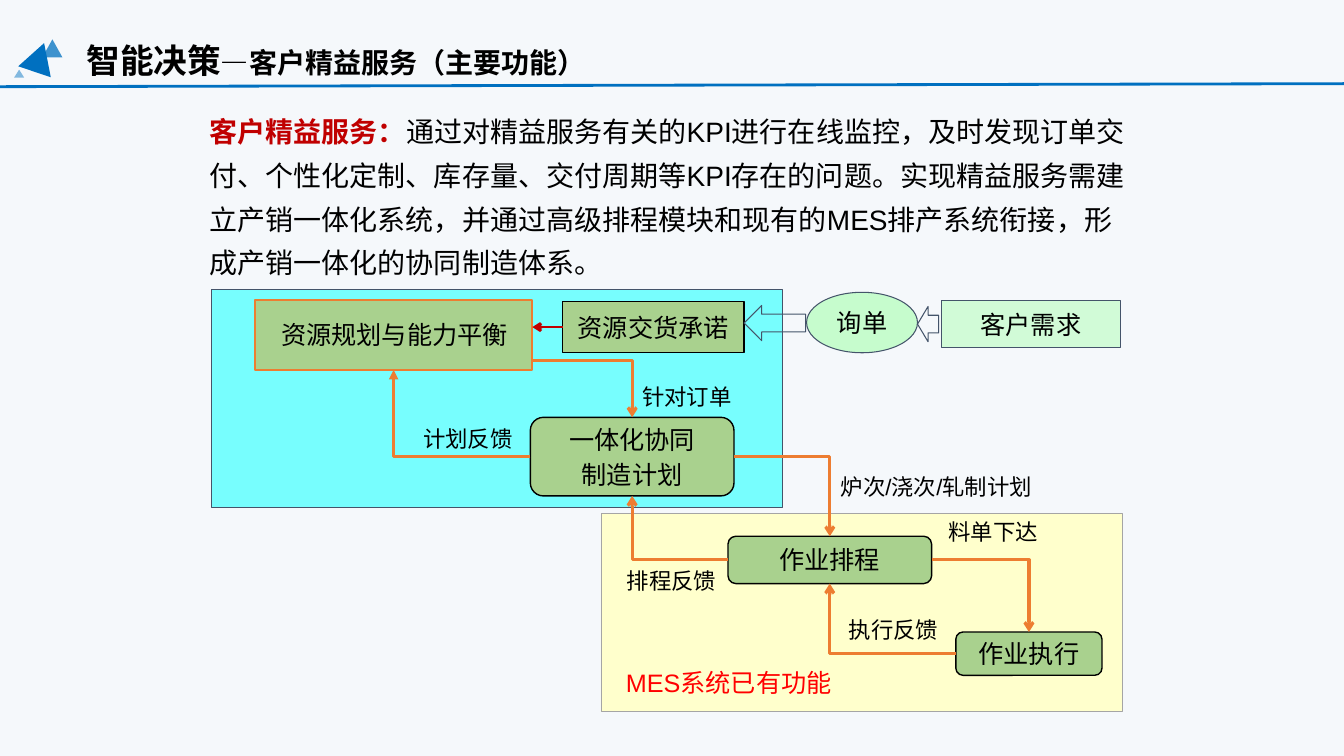
from lxml import etree
from pptx import Presentation
from pptx import util as u
from pptx.dml.color import RGBColor
from pptx.enum import shapes, text
from pptx.oxml import ns

THEME = {
    "paper": "F5F8FB", "ink": "000000", "blue": "0070C0", "slate": "44546A",
    "cyan": "66FFFF", "cream": "FFFFCC", "grey": "A5A5A5", "green": "A9D18E",
    "mint": "B4FEBB", "orange": "ED7D31", "crimson": "C00000", "red": "FF0000",
    "latin": "Arial", "round": "Calibri", "cjk": "Noto Sans CJK SC",
    "title": 24, "lead": 20, "body": 18, "label": 16,
}
CELL = u.Inches(0.1)  # the slide is a grid of 133.3 columns by 75 rows
KIND = shapes.MSO_SHAPE

prs = Presentation()
prs.slide_width, prs.slide_height = int(133.3 * CELL), 75 * CELL
slide = prs.slides.add_slide(prs.slide_layouts[6])
slide.background.fill.solid()
slide.background.fill.fore_color.rgb = RGBColor.from_string(THEME["paper"])


def draw(kind, place, fill=None, line=None, weight=0.75, alpha=100):
    """Add a preset shape; place is left, top, width, height in grid cells."""
    shape = slide.shapes.add_shape(kind, *(int(n * CELL) for n in place))
    shape.shadow.inherit = False
    if fill:
        shape.fill.solid()
        shape.fill.fore_color.rgb = RGBColor.from_string(THEME[fill])
        if alpha < 100:
            color = shape.fill._xPr.find(".//" + ns.qn("a:srgbClr"))
            etree.SubElement(color, ns.qn("a:alpha")).set("val", str(alpha * 1000))
    else:
        shape.fill.background()
    if line:
        shape.line.color.rgb = RGBColor.from_string(THEME[line])
        shape.line.width = u.Pt(weight)
    else:
        shape.line.fill.background()
    return shape


def write(paragraph, words, size="body", color="ink", bold=False, latin="latin"):
    run = paragraph.add_run()
    run.text = words
    looks = {"size": u.Pt(THEME[size]), "bold": bold, "name": THEME[latin]}
    for key, value in looks.items():
        setattr(run.font, key, value)
    run.font.color.rgb = RGBColor.from_string(THEME[color])
    etree.SubElement(run._r.rPr, ns.qn("a:ea")).set("typeface", THEME["cjk"])


# Panels behind the two systems
draw(KIND.RECTANGLE, (21, 28.7, 56.6, 21.7), "cyan", "slate", alpha=88)
draw(KIND.RECTANGLE, (59.6, 50.9, 51.7, 19.7), "cream", "grey", 0.5)

# Steps of the flow
steps = {}
for name, kind, place, fill, line, weight, alpha, latin, words in [
    ("balance", KIND.RECTANGLE, (25.3, 29.8, 27.5, 6.9), "green", "orange", 1.5, 100, "latin", []),
    ("promise", KIND.RECTANGLE, (55.8, 29.9, 18, 5.1), "green", "ink", 1, 100, "latin", ["资源交货承诺"]),
    ("plan", KIND.ROUNDED_RECTANGLE, (52.6, 41.4, 20.2, 7.8), "green", "ink", 1, 100, "latin",
     ["一体化协同", "制造计划"]),
    ("schedule", KIND.ROUNDED_RECTANGLE, (72.2, 53.2, 20.2, 4.7), "green", "ink", 1, 100, "latin", ["作业排程"]),
    ("execute", KIND.ROUNDED_RECTANGLE, (94.8, 62.7, 14.5, 4.3), "green", "ink", 1, 100, "latin", ["作业执行"]),
    ("demand", KIND.RECTANGLE, (93.4, 29.8, 17.7, 4.7), "mint", "slate", 0.75, 55, "latin", ["客户需求"]),
    ("inquiry", KIND.OVAL, (80, 29, 11, 6), "mint", "slate", 0.75, 71, "round", ["询单"]),
]:
    step = steps[name] = draw(kind, place, fill, line, weight, alpha)
    frame = step.text_frame
    frame.vertical_anchor = text.MSO_ANCHOR.MIDDLE
    frame.word_wrap = name not in ("demand", "inquiry")
    for index, words_line in enumerate(words):
        paragraph = frame.add_paragraph() if index else frame.paragraphs[0]
        paragraph.alignment = text.PP_ALIGN.CENTER
        if index:
            paragraph.space_before = u.Pt(0.2 * THEME["body"])
        write(paragraph, words_line, latin=latin)

for place in [(91, 30.4, 2.1, 3.5), (73.8, 30.3, 6.1, 3.5)]:
    draw(KIND.LEFT_ARROW, place, line="slate")

# Links: each elbow leaves a side, turns once and enters a top or bottom middle
links = []
for source, target, head in [
    ("plan", "balance", "triangle"), ("balance", "plan", "arrow"),
    ("plan", "schedule", "arrow"), ("schedule", "plan", "arrow"),
    ("schedule", "execute", "arrow"), ("execute", "schedule", "arrow"),
]:
    start, goal = steps[source], steps[target]
    down = goal.top > start.top
    x = start.left + (start.width if down else 0)
    y = int(35.8 * CELL) if source == "balance" else start.top + start.height // 2
    links.append((shapes.MSO_CONNECTOR.ELBOW, x, y, goal.left + goal.width // 2,
                  goal.top + (0 if down else goal.height), "orange", 2.25, head))
promise, balance = steps["promise"], steps["balance"]
promise_y = promise.top + promise.height // 2
links += [
    (shapes.MSO_CONNECTOR.STRAIGHT, promise.left, promise_y,
     balance.left + balance.width, promise_y, "crimson", 2, "arrow"),
    (shapes.MSO_CONNECTOR.STRAIGHT, 0, int(8.6 * CELL),
     prs.slide_width, int(8.3 * CELL), "blue", 2, None),
]
for route, x1, y1, x2, y2, color, weight, head in links:
    link = slide.shapes.add_connector(route, x1, y1, x2, y2)
    link.line.color.rgb = RGBColor.from_string(THEME[color])
    link.line.width = u.Pt(weight)
    if route == shapes.MSO_CONNECTOR.ELBOW:
        link._element.spPr.find(ns.qn("a:prstGeom")).set("prst", "bentConnector2")
    if head:
        etree.SubElement(link.line._ln, ns.qn("a:tailEnd")).set("type", head)
    etree.SubElement(link._element.spPr, ns.qn("a:effectLst"))
    if color == "crimson":
        link.begin_connect(promise, 1)

# Title, introduction and labels; each run is words, size, colour, bold, font
for place, wrap, spacing, runs in [
    ((7.6, 3.5, 52, 5), True, 1, [
        ("智能决策", "title", "ink", True, "cjk"),
        ("—", "lead", "ink", True, "cjk"),
        ("客户精益服务（主要功能）", "lead", "ink", True)]),
    ((19.8, 9.9, 94.1, 18.5), True, 1.3, [
        ("客户精益服务：", "lead", "crimson", True),
        ("通过对精益服务有关的KPI进行在线监控，及时发现订单交付、个性化定制、库存量、"
         "交付周期等KPI存在的问题。实现精益服务需建立产销一体化系统，并通过高级排程模块"
         "和现有的MES排产系统衔接，形成产销一体化的协同制造体系。", "lead")]),
    ((26.9, 31.2, 24.7, 4), True, 1, [("资源规划与能力平衡",)]),
    ((61.1, 65.7, 23.6, 4), True, 1, [("MES系统已有功能", "body", "red")]),
    ((82.4, 46.4, 25.5, 3.7), True, 1, [("炉次/浇次/轧制计划", "label")]),
    ((62.7, 37.5, 11, 3.7), False, 1, [("针对订单", "label")]),
    ((93.1, 50.9, 11, 3.7), False, 1, [("料单下达", "label")]),
    ((83.2, 60.6, 11.1, 3.7), False, 1, [("执行反馈", "label")]),
    ((61.2, 55.8, 11.1, 3.7), False, 1, [("排程反馈", "label")]),
    ((41, 41.7, 11.1, 3.7), False, 1, [("计划反馈", "label")]),
]:
    frame = slide.shapes.add_textbox(*(int(n * CELL) for n in place)).text_frame
    frame.word_wrap = wrap
    frame.auto_size = text.MSO_AUTO_SIZE.SHAPE_TO_FIT_TEXT
    frame.paragraphs[0].line_spacing = float(spacing)
    for run_parts in runs:
        write(frame.paragraphs[0], *run_parts)

# Triangles beside the title
for place, turn, alpha in [
    ((4.2, 3.9, 2, 1.8), 0, 75), ((2.2, 4.2, 3.4, 3), 18.5, 100), ((1.4, 6.9, 1, 0.8), 0, 47),
]:
    draw(KIND.ISOSCELES_TRIANGLE, place, "blue", alpha=alpha).rotation = turn

prs.save("out.pptx")
